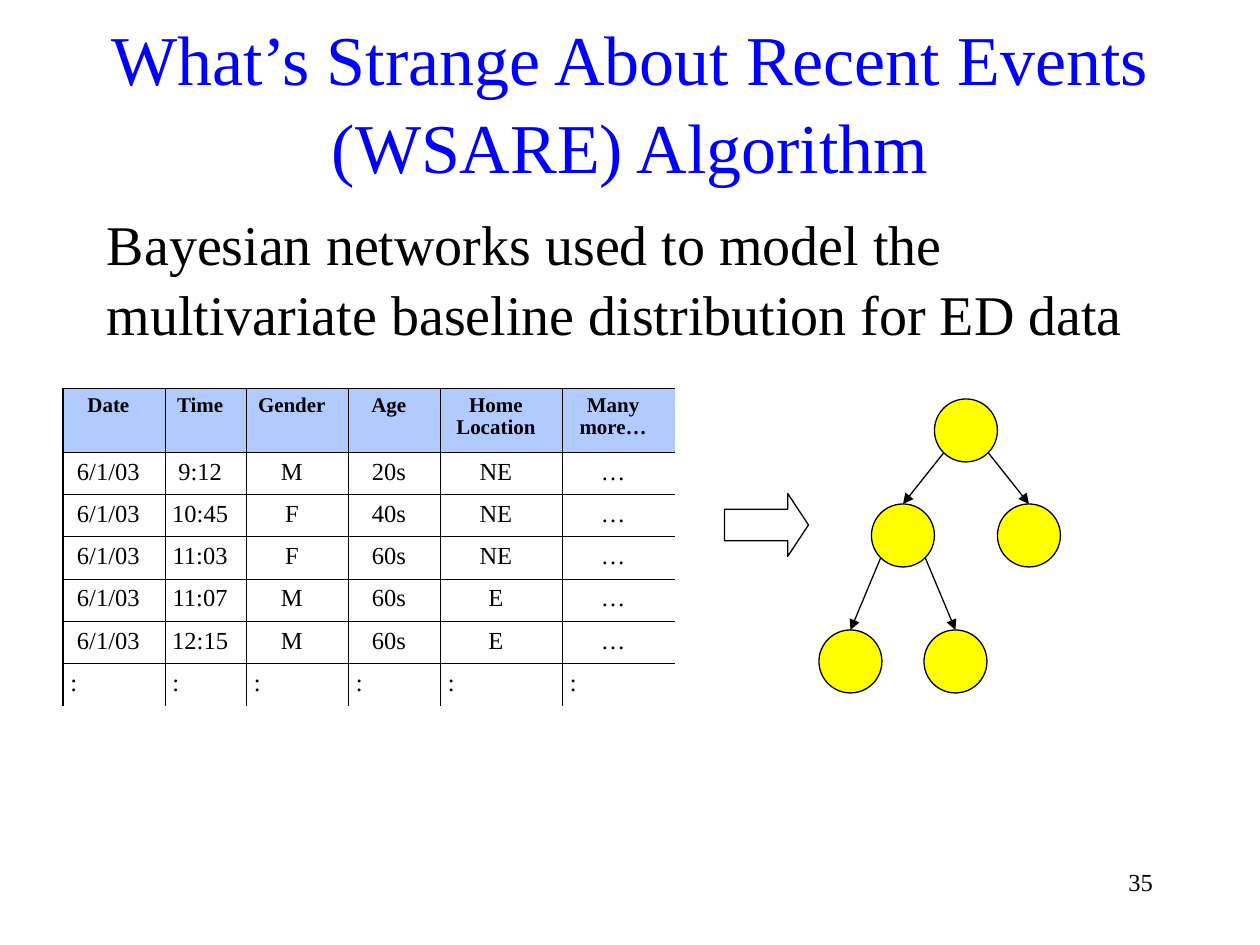
import math
from lxml import etree
from pptx import Presentation
from pptx.dml.color import RGBColor
from pptx.enum.shapes import MSO_CONNECTOR, MSO_SHAPE
from pptx.enum.text import MSO_ANCHOR, MSO_AUTO_SIZE, PP_ALIGN
from pptx.oxml.ns import qn
from pptx.util import Pt

STRAIGHT = MSO_CONNECTOR.STRAIGHT
OVAL, RIGHT_ARROW = MSO_SHAPE.OVAL, MSO_SHAPE.RIGHT_ARROW
TOP, MIDDLE = MSO_ANCHOR.TOP, MSO_ANCHOR.MIDDLE
LEFT, CENTER, RIGHT = PP_ALIGN.LEFT, PP_ALIGN.CENTER, PP_ALIGN.RIGHT
NO_AUTOFIT = MSO_AUTO_SIZE.NONE

FONT = "Times New Roman"
BLACK, BLUE, YELLOW, HEADER_BLUE = "000000", "0000FF", "FFFF00", "6699FF"
NODE_SIZE = 36
COLUMN_WIDTHS = [58.4, 46.5, 58.3, 52.6, 69.8, 64.2]
HEADER_HEIGHT, ROW_HEIGHT = 36.4, 24.15
RECORDS = [
    ["Date", "Time", "Gender", "Age", "Home Location", "Many more…"],
    ["6/1/03", "9:12", "M", "20s", "NE", "…"],
    ["6/1/03", "10:45", "F", "40s", "NE", "…"],
    ["6/1/03", "11:03", "F", "60s", "NE", "…"],
    ["6/1/03", "11:07", "M", "60s", "E", "…"],
    ["6/1/03", "12:15", "M", "60s", "E", "…"],
    [" :"] * 6,
]
NODES = {
    "root": (534, 228),
    "left": (498, 288),
    "right": (570, 288),
    "left leaf": (468, 360),
    "right leaf": (528, 360),
}
EDGES = [("root", "left"), ("root", "right"), ("left", "right leaf"), ("left", "left leaf")]


def color(value):
    return RGBColor.from_string(value)


def format_paragraph(paragraph, size, font_color=BLACK, alignment=LEFT, bold=False):
    paragraph.alignment = alignment
    font = paragraph.font
    font.name, font.size, font.bold = FONT, Pt(size), bold
    font.color.rgb = color(font_color)


def fill_text(shape, text, size, font_color=BLACK, alignment=LEFT, anchor=TOP):
    frame = shape.text_frame
    frame.text = text
    frame.word_wrap = True
    frame.auto_size = NO_AUTOFIT
    frame.vertical_anchor = anchor
    paragraph = frame.paragraphs[0]
    format_paragraph(paragraph, size, font_color, alignment)
    return paragraph


def add_title(slide, text):
    title = slide.shapes.title
    title.left, title.top, title.width, title.height = Pt(54), Pt(12), Pt(612), Pt(90)
    fill_text(title, text, 40, BLUE, CENTER, MIDDLE).line_spacing = 1.05


def add_text(slide, text, left, top, width, height, size, alignment=LEFT):
    box = slide.shapes.add_textbox(Pt(left), Pt(top), Pt(width), Pt(height))
    return fill_text(box, text, size, alignment=alignment)


def set_borders(cell, widths):
    properties = cell._tc.get_or_add_tcPr()
    for index, (side, width) in enumerate(widths.items()):
        line = etree.Element(qn(f"a:ln{side}"), w=str(Pt(width)))
        if width:
            fill = etree.SubElement(line, qn("a:solidFill"))
            etree.SubElement(fill, qn("a:srgbClr"), val=BLACK)
        else:
            etree.SubElement(line, qn("a:noFill"))
        properties.insert(index, line)


def shade_header(cell):
    cell.fill.solid()
    cell.fill.fore_color.rgb = color(HEADER_BLUE)
    shade = cell._tc.tcPr.find(".//" + qn("a:srgbClr"))
    etree.SubElement(shade, qn("a:alpha"), val="50000")


def add_records_table(slide, left, top):
    last_row, last_column = len(RECORDS) - 1, len(COLUMN_WIDTHS) - 1
    heights = [HEADER_HEIGHT] + [ROW_HEIGHT] * last_row
    table = slide.shapes.add_table(
        len(heights), len(COLUMN_WIDTHS), Pt(left), Pt(top),
        Pt(sum(COLUMN_WIDTHS)), Pt(sum(heights))).table
    table.first_row = table.horz_banding = False
    for column, width in zip(table.columns, COLUMN_WIDTHS):
        column.width = Pt(width)
    for row, height in zip(table.rows, heights):
        row.height = Pt(height)
    for row_index, record in enumerate(RECORDS):
        header = row_index == 0
        for column_index, text in enumerate(record):
            cell = table.cell(row_index, column_index)
            cell.text = text
            cell.margin_left, cell.margin_right = Pt(0.7), Pt(7.2)
            cell.margin_top = cell.margin_bottom = Pt(3.6)
            paragraph = cell.text_frame.paragraphs[0]
            format_paragraph(paragraph, 12 if header else 14, bold=header,
                             alignment=LEFT if row_index == last_row else CENTER)
            paragraph.space_before = Pt(3 if header else 3.5)
            if header:
                paragraph.line_spacing = 0.95
                shade_header(cell)
            else:
                cell.fill.background()
            set_borders(cell, {
                "L": 1.08 if column_index == 0 else 0.45,
                "R": 0 if column_index == last_column else 0.45,
                "T": 1.08 if header else 0.45,
                "B": 0 if row_index == last_row else 0.45,
            })


def add_outlined_shape(slide, kind, left, top, width, height, fill_color=None):
    shape = slide.shapes.add_shape(kind, Pt(left), Pt(top), Pt(width), Pt(height))
    shape.shadow.inherit = False
    if fill_color:
        shape.fill.solid()
        shape.fill.fore_color.rgb = color(fill_color)
    else:
        shape.fill.background()
    shape.line.color.rgb = color(BLACK)
    shape.line.width = Pt(0.75)
    return shape


def add_edge(slide, parent, child):
    radius = parent.width / 2
    reach = radius * math.sqrt(0.5)
    direction = 1 if child.left > parent.left else -1
    start_x = int(parent.left + radius + direction * reach)
    start_y = int(parent.top + radius + reach)
    connector = slide.shapes.add_connector(
        STRAIGHT, start_x, start_y, child.left + child.width // 2, child.top)
    connector.end_connect(child, 0)
    connector.line.color.rgb = color(BLACK)
    connector.line.width = Pt(0.75)
    etree.SubElement(connector.line._get_or_add_ln(), qn("a:tailEnd"), type="triangle")
    etree.SubElement(connector._element.spPr, qn("a:effectLst"))


def add_network(slide):
    nodes = {
        name: add_outlined_shape(slide, OVAL, left, top, NODE_SIZE, NODE_SIZE, YELLOW)
        for name, (left, top) in NODES.items()
    }
    for parent, child in EDGES:
        add_edge(slide, nodes[parent], nodes[child])


def main():
    presentation = Presentation()
    presentation.slide_width, presentation.slide_height = Pt(720), Pt(540)
    slide = presentation.slides.add_slide(presentation.slide_layouts[5])
    add_title(slide, "What’s Strange About Recent Events (WSARE) Algorithm")
    statement = add_text(
        slide, "Bayesian networks used to model the multivariate baseline distribution for ED data",
        54, 114, 612, 90, 32)
    statement.space_before = Pt(8)
    statement.line_spacing = 1.05
    add_records_table(slide, 36, 222)
    arrow = add_outlined_shape(slide, RIGHT_ARROW, 414, 282, 48, 36)
    arrow.adjustments[1] = 0.33
    add_network(slide)
    add_text(slide, "35", 588, 492, 78, 36, 14, RIGHT)
    presentation.save("out.pptx")


if __name__ == "__main__":
    main()
